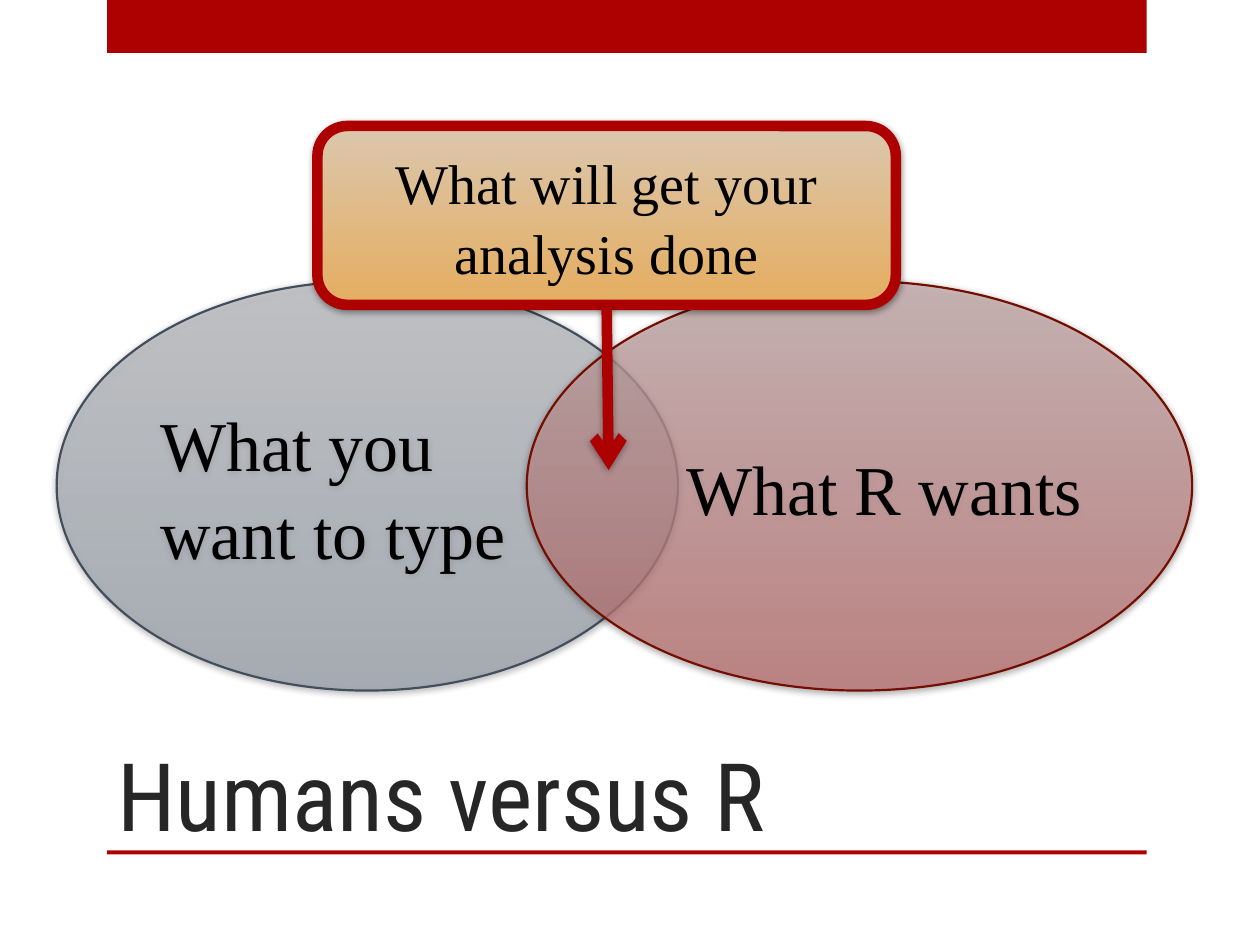
from dataclasses import dataclass

from lxml import etree
from pptx import Presentation
from pptx import util as u
from pptx.dml.color import RGBColor
from pptx.enum import shapes, text
from pptx.oxml import ns


@dataclass(frozen=True)
class Theme:
    accent: str = "AD0101"
    ink: str = "000000"
    title_ink: str = "262626"
    human_line: str = "424E5B"
    human_fill: tuple = ("B7BABF", "8A94A2")
    r_line: str = "730E00"
    r_fill: tuple = ("C9AEAE", "BD7070")
    callout_fill: tuple = ("DBC7AD", "E5AD60")
    title_font: str = "Roboto Condensed"
    body_font: str = "Times New Roman"
    title_size: int = 54
    circle_size: int = 40
    callout_size: int = 32
    thin: float = 1.25
    thick: float = 6


def rgb(value):
    return RGBColor.from_string(value)


def child(parent, tag, **attributes):
    return etree.SubElement(parent, ns.qn(tag), attributes)


def apply(target, values):
    for name, value in values.items():
        setattr(target, name, value)


class VennSlide:
    def __init__(self, deck, theme):
        self.theme = theme
        self.slide = deck.slides.add_slide(deck.slide_layouts[5])

    def label(self, shape, words, font, size, color, frame_format, paragraph_format):
        frame = shape.text_frame
        frame.text = words
        apply(frame, {"word_wrap": True, **frame_format})
        paragraph = frame.paragraphs[0]
        apply(paragraph, paragraph_format)
        run_font = paragraph.runs[0].font
        apply(run_font, {"name": font, "size": u.Pt(size)})
        run_font.color.rgb = rgb(color)

    def title(self, words, box):
        heading = self.slide.shapes.title
        apply(heading, dict(zip(("left", "top", "width", "height"), map(u.Pt, box))))
        t = self.theme
        self.label(heading, words, t.title_font, t.title_size, t.title_ink,
                   {"auto_size": text.MSO_AUTO_SIZE.NONE, "margin_bottom": 0,
                    "vertical_anchor": text.MSO_ANCHOR.BOTTOM},
                   {"alignment": text.PP_ALIGN.LEFT})

    def band(self, box):
        bar = self.slide.shapes.add_shape(shapes.MSO_SHAPE.RECTANGLE, *map(u.Pt, box))
        bar.shadow.inherit = False
        bar.fill.solid()
        bar.fill.fore_color.rgb = rgb(self.theme.accent)
        bar.line.fill.background()

    def outline(self, line, color, width):
        line.width = u.Pt(width)
        line.fill.solid()
        line.fill.fore_color.rgb = rgb(color)

    def soft_shadow(self, properties):
        effects = properties.find(ns.qn("a:effectLst"))
        if effects is None:
            effects = child(properties, "a:effectLst")
        shadow = child(effects, "a:outerShdw", blurRad=str(u.Pt(4)), dist=str(u.Pt(1)),
                       dir=str(88 * 60000), rotWithShape="0")
        child(child(shadow, "a:srgbClr", val="000000"), "a:alpha", val="40000")

    def bubble(self, kind, box, words, size, colors, opacity, line, alignment):
        shape = self.slide.shapes.add_shape(kind, *map(u.Pt, box))
        # Vertical gradient, top colour first
        shape.fill.gradient()
        shape.fill.gradient_angle = 270
        for stop, color in zip(shape.fill.gradient_stops, colors):
            stop.color.rgb = rgb(color)
        properties = shape._element.spPr
        if opacity < 100:
            for color in properties.find(ns.qn("a:gradFill")).iter(ns.qn("a:srgbClr")):
                child(color, "a:alpha", val=str(opacity * 1000))
        self.outline(shape.line, *line)
        shape.shadow.inherit = False
        self.soft_shadow(properties)
        self.label(shape, words, self.theme.body_font, size, self.theme.ink,
                   {"vertical_anchor": text.MSO_ANCHOR.MIDDLE},
                   {"alignment": alignment, "line_spacing": 1.04})
        return shape

    def arrow_from(self, source, tip):
        start = (source.left + source.width // 2, source.top + source.height)
        arrow = self.slide.shapes.add_connector(
            shapes.MSO_CONNECTOR.STRAIGHT, *start, *map(u.Pt, tip))
        arrow.begin_connect(source, 2)
        self.outline(arrow.line, self.theme.accent, self.theme.thick)
        properties = arrow._element.spPr
        child(properties.find(ns.qn("a:ln")), "a:tailEnd", type="arrow")
        self.soft_shadow(properties)


def main():
    deck = Presentation()
    apply(deck, {"slide_width": u.Pt(720), "slide_height": u.Pt(540)})
    theme = Theme()
    venn = VennSlide(deck, theme)

    # Frame and title
    venn.band((61.2, 0, 594, 30.2))
    venn.band((61.2, 486, 594, 2.2))
    venn.title("Humans versus R", (59.8, 360, 534, 126))

    # Overlapping sets
    oval, align = shapes.MSO_SHAPE.OVAL, text.PP_ALIGN
    top, height = 160.6, 234
    venn.bubble(oval, (32.4, top, 355, height), "What you want to type", theme.circle_size,
                theme.human_fill, 54, (theme.human_line, theme.thin), align.LEFT)
    venn.bubble(oval, (301, top, 380.2, height), "What R wants", theme.circle_size,
                theme.r_fill, 72, (theme.r_line, theme.thin), align.RIGHT)

    # Callout pointing at the overlap
    callout = venn.bubble(shapes.MSO_SHAPE.ROUNDED_RECTANGLE, (181.4, 72, 330.5, 102.2),
                          "What will get your analysis done", theme.callout_size,
                          theme.callout_fill, 100, (theme.accent, theme.thick), align.CENTER)
    venn.arrow_from(callout, (347.8, 268.6))

    deck.save("out.pptx")


if __name__ == "__main__":
    main()
